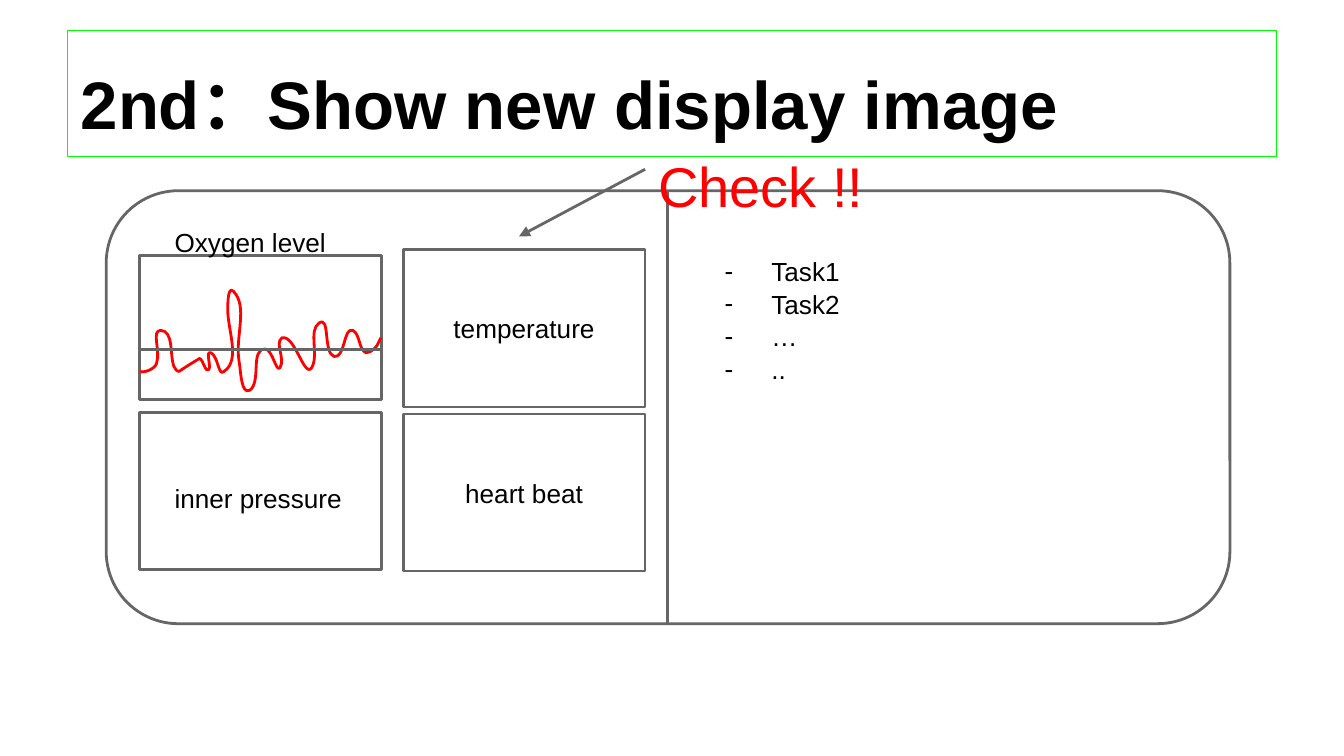
from pptx import Presentation
from pptx.dml.color import RGBColor
from pptx.enum.shapes import MSO_CONNECTOR, MSO_SHAPE
from pptx.enum.text import MSO_ANCHOR, MSO_AUTO_SIZE, PP_ALIGN
from pptx.oxml.ns import qn
from pptx.util import Pt
from lxml.etree import SubElement

BLACK = RGBColor(0, 0, 0)
GREY = RGBColor(0x66, 0x66, 0x66)
RED = RGBColor(0xFF, 0, 0)
GREEN = RGBColor(0, 0xFF, 0)

# Start of the trace, then two control points and an end for each curve.
START = (74.9, 199.4)
CURVES = [
    (78.5, 200.2, 83.5, 197.3, 84.2, 193.7),
    (85.7, 187.9, 80.6, 177.1, 86.4, 177.1),
    (92.9, 177.1, 90.7, 190.1, 92.9, 195.8),
    (93.6, 197.3, 94.3, 198.7, 95.8, 198.7),
    (97.2, 198, 106.6, 191.5, 107.3, 191.5),
    (109.4, 193, 110.2, 200.2, 111.6, 198),
    (113, 195.1, 110.2, 187.9, 113, 189.4),
    (117.4, 190.8, 116.6, 202.3, 120.2, 199.4),
    (128.9, 193, 121.7, 177.1, 121.7, 165.6),
    (121.7, 162.7, 121.7, 153.4, 124.6, 155.5),
    (133.2, 164.2, 126, 180, 128.2, 193),
    (128.9, 198, 128.9, 212.4, 133.9, 208.8),
    (140.4, 204.5, 133.9, 187.2, 141.8, 187.2),
    (146.2, 187.2, 147.6, 200.2, 149.8, 196.6),
    (152.6, 192.2, 146.9, 183.6, 151.2, 181.4),
    (158.4, 178.6, 163.4, 203, 167, 196.6),
    (171.4, 190.1, 164.9, 177.1, 171.4, 172.8),
    (177.1, 169.2, 172.8, 189.4, 179.3, 190.8),
    (185, 192.2, 183.6, 175, 188.6, 177.1),
    (193, 179.3, 191.5, 187.2, 195.8, 188.6),
    (198.7, 188.6, 201.6, 185.8, 203, 182.9),
    (203.8, 182.2, 203, 182.2, 203.8, 180.7),
]


class Board:
    def __init__(self, slide, font="Arial", width=1.5):
        self.slide = slide
        self.shapes = slide.shapes
        self.font = font
        self.width = width

    def place(self, shape, box):
        shape.left, shape.top, shape.width, shape.height = map(Pt, box)

    def fill_text(self, shape, lines, size=14, color=BLACK, bold=False,
                  align=PP_ALIGN.LEFT, anchor=MSO_ANCHOR.TOP):
        frame = shape.text_frame
        frame.text = "\n".join(lines)
        frame.word_wrap = True
        frame.auto_size = MSO_AUTO_SIZE.NONE
        frame.vertical_anchor = anchor
        frame.margin_left = frame.margin_right = Pt(7.2)
        frame.margin_top = frame.margin_bottom = Pt(7.2)
        for para in frame.paragraphs:
            para.alignment = align
            para.space_before = Pt(0)
            font = para.font
            font.name, font.size, font.bold = self.font, Pt(size), bold
            font.color.rgb = color

    def title(self, text, box):
        shape = self.shapes.title
        self.place(shape, box)
        shape.line.color.rgb = GREEN
        shape.line.width = Pt(0.75)
        self.fill_text(shape, [text], 36, bold=True, anchor=MSO_ANCHOR.BOTTOM)

    def tasks(self, lines, box):
        shape = self.slide.placeholders[1]
        self.place(shape, box)
        self.fill_text(shape, lines)
        for para in shape.text_frame.paragraphs:
            para.line_spacing = 1.04
            props = para._p.get_or_add_pPr()
            props.set("marL", str(Pt(36)))
            props.set("indent", str(Pt(-25)))
            mark = SubElement(props, qn("a:buChar"))
            mark.set("char", "-")

    def label(self, text, box, size=14, color=BLACK):
        shape = self.shapes.add_textbox(*map(Pt, box))
        self.fill_text(shape, [text], size, color)

    def stroke(self, shape, color=GREY):
        shape.line.color.rgb = color
        shape.line.width = Pt(self.width)

    def panel(self, box, text="", kind=MSO_SHAPE.RECTANGLE):
        shape = self.shapes.add_shape(kind, *map(Pt, box))
        shape.shadow.inherit = False
        shape.fill.background()
        self.stroke(shape)
        if text:
            self.fill_text(shape, [text], align=PP_ALIGN.CENTER,
                           anchor=MSO_ANCHOR.MIDDLE)

    def line(self, ends, arrow=False):
        shape = self.shapes.add_connector(MSO_CONNECTOR.STRAIGHT,
                                          *map(Pt, ends))
        self.stroke(shape)
        if arrow:
            tail = SubElement(shape.line._get_or_add_ln(), qn("a:tailEnd"))
            tail.set("type", "triangle")
        SubElement(shape._element.spPr, qn("a:effectLst"))

    def trace(self, start, curves):
        """Draw a freeform, then turn each three points into a Bézier curve."""
        points = [(c[i], c[i + 1]) for c in curves for i in (0, 2, 4)]
        form = self.shapes.build_freeform(*start, scale=Pt(1))
        form.add_line_segments(points, close=False)
        shape = form.convert_to_shape()
        shape.shadow.inherit = False
        shape.fill.background()
        self.stroke(shape, RED)
        steps = list(shape._element.iter(qn("a:lnTo")))
        route = steps[0].getparent()
        for i in range(0, len(steps), 3):
            curve = SubElement(route, qn("a:cubicBezTo"))
            for step in steps[i:i + 3]:
                curve.append(step[0])
                route.remove(step)


def main():
    deck = Presentation()
    deck.slide_width, deck.slide_height = Pt(720), Pt(405)
    board = Board(deck.slides.add_slide(deck.slide_layouts[1]))

    board.title("2nd：Show new display image", (36, 16.5, 648, 67.5))
    board.panel((56.9, 102.2, 602, 232), kind=MSO_SHAPE.ROUNDED_RECTANGLE)
    board.line((357.8, 102.2, 357.8, 334.5))

    left, right, wide, high = 74.9, 216, 129.6, 84.2
    board.panel((left, 137, wide, 77))
    board.panel((left, 221, wide, high))
    board.trace(START, CURVES)
    board.line((left, 187.2, left + wide, 187.2))
    board.tasks(["Task1", "Task2", "…", ".."], (370, 129, 269, 132.5))
    for text, top in (("Oxygen level", 113.8), ("inner pressure", 251.3)):
        board.label(text, (86.4, top, 106.6, 23))
    for text, top in (("heart beat", 221.8), ("temperature", 133.9)):
        board.panel((right, top, wide, high), text)

    board.label("Check !!", (345.6, 74.2, 139.7, 33.8), 30, RED)
    board.line((345.6, 90.7, 278, 126.7), arrow=True)
    deck.save("out.pptx")


if __name__ == "__main__":
    main()
